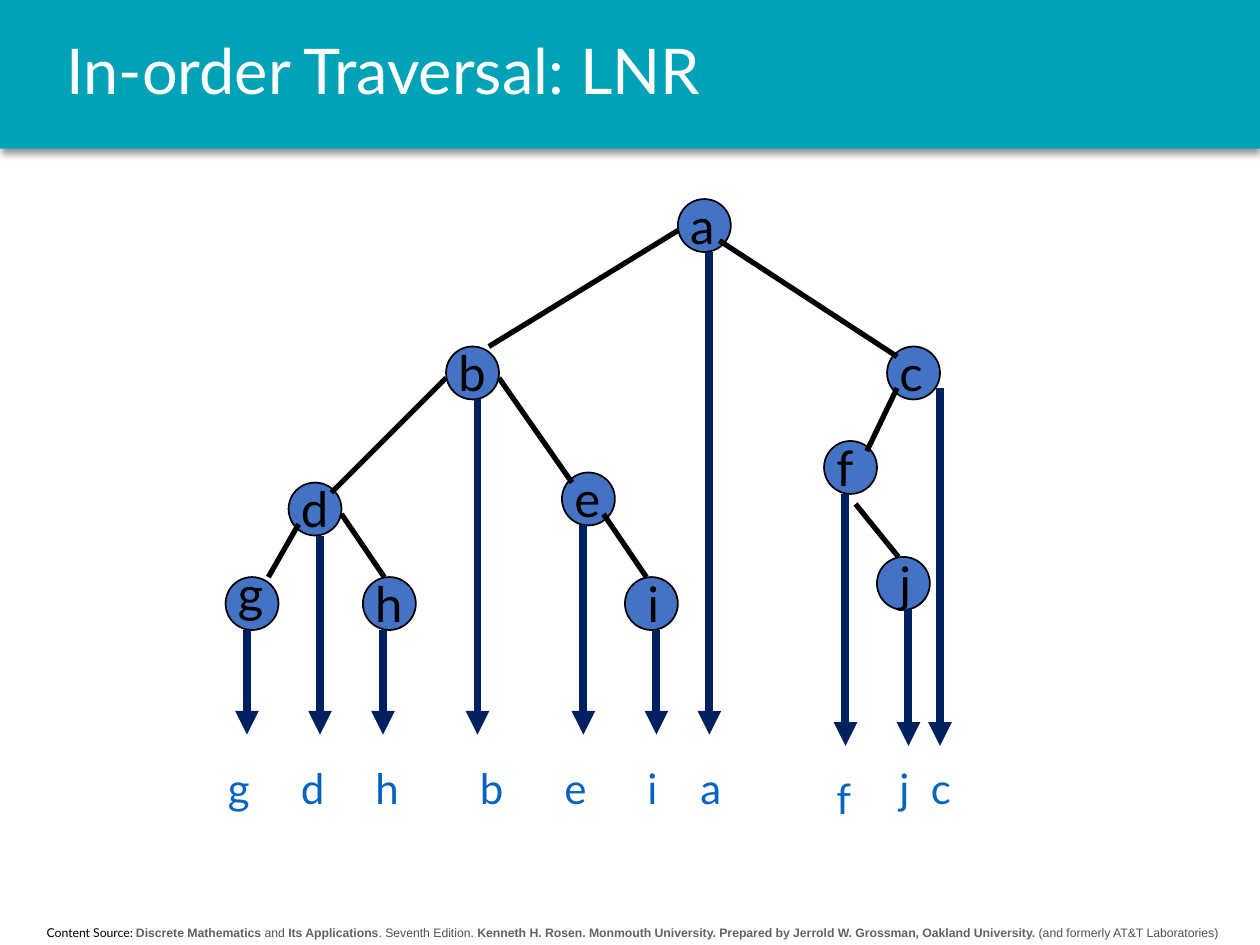
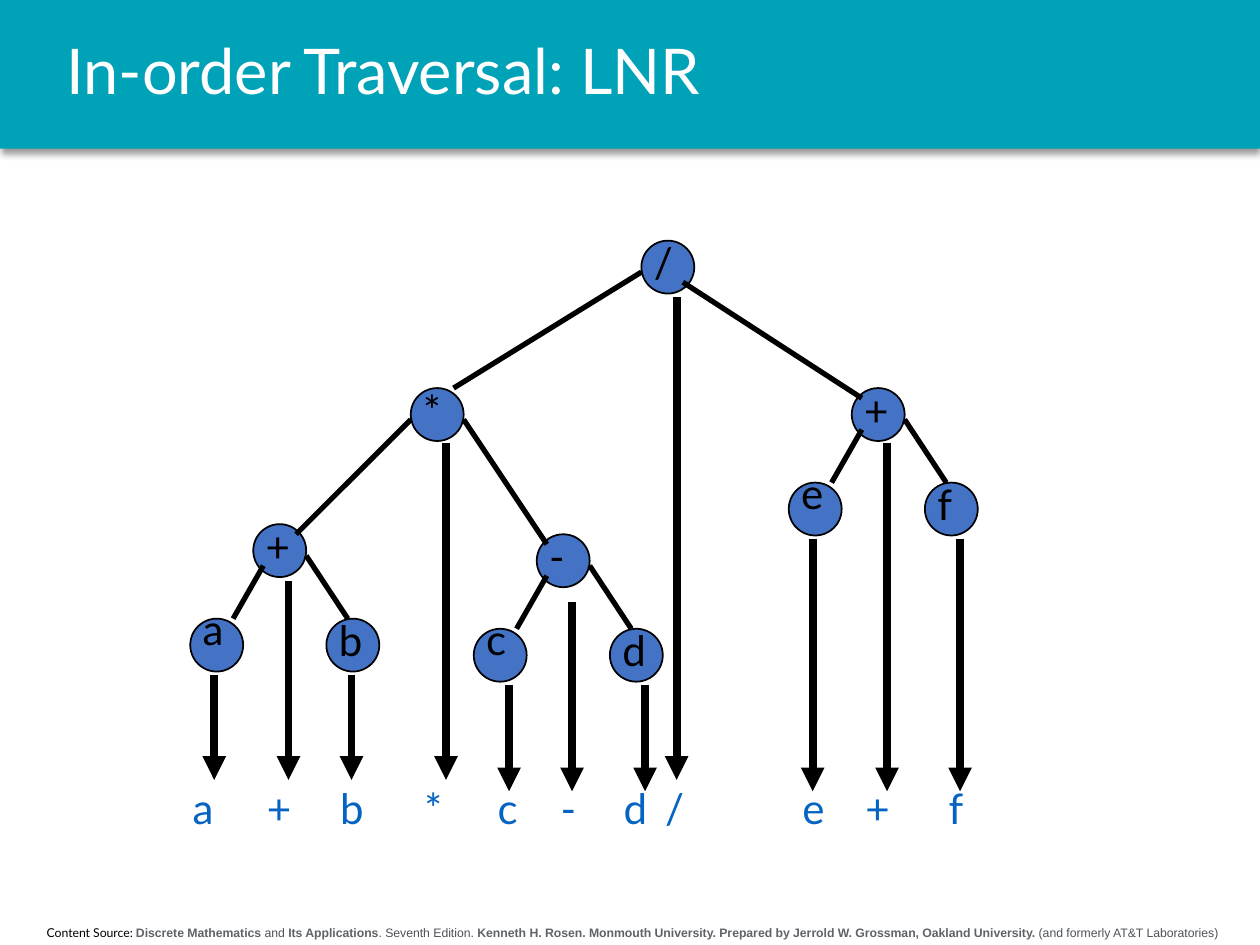
from dataclasses import dataclass

from lxml import etree
from pptx import Presentation
from pptx.dml.color import RGBColor
from pptx.enum.shapes import MSO_CONNECTOR, MSO_SHAPE
from pptx.enum.text import MSO_ANCHOR, PP_ALIGN
from pptx.oxml.ns import qn
from pptx.util import Inches, Pt

STRAIGHT = MSO_CONNECTOR.STRAIGHT
RECT, OVAL = MSO_SHAPE.RECTANGLE, MSO_SHAPE.OVAL
LEFT, CENTER = PP_ALIGN.LEFT, PP_ALIGN.CENTER
TOP, MIDDLE = MSO_ANCHOR.TOP, MSO_ANCHOR.MIDDLE

COLORS = {
    "band": "00A2B8", "node": "4472C4", "black": "000000", "white": "FFFFFF",
    "navy": "002060", "output": "0563C1", "source": "5F6368", "detail": "4D5156",
}
FONT, FOOTER_FONT = "Lato", "Arial"
NODE_SIZE = 0.42

# Footer runs: text, font, colour, bold
FOOTER = [
    ("Content Source: ", FONT, "black", False),
    ("Discrete Mathematics", FOOTER_FONT, "source", True),
    (" and ", FOOTER_FONT, "detail", False),
    ("Its Applications", FOOTER_FONT, "source", True),
    (". Seventh Edition. ", FOOTER_FONT, "detail", False),
    ("Kenneth H. Rosen. Monmouth University. Prepared by Jerrold W. Grossman, "
     "Oakland University.", FOOTER_FONT, "source", True),
    (" (and formerly AT&T Laboratories)", FOOTER_FONT, "detail", False),
]

# Points where an edge meets a node, measured from the node's top left
PORTS = {
    "left": (0, 0.25), "right": (0.42, 0.25),
    "low left": (0.08, 0.33), "low right": (0.33, 0.33), "under": (0.25, 0.5),
    "top left": (0.17, 0), "top right": (0.34, 0),
    "in left": (0.08, 0.08), "in right": (0.34, 0.08),
}


@dataclass
class Node:
    x: float
    y: float
    arrow_x: float
    arrow_top: float
    arrow_end: float
    out_x: float
    out_y: float
    letter_dx: float = 0
    letter_dy: float = -0.08


# Nodes in visiting order; the first character of a key is the letter shown
LETTER_TREE = {
    "g": Node(1.79, 4.58, 1.96, 5, 5.83, 1.71, 6, letter_dy=-0.16),
    "d": Node(2.29, 3.83, 2.54, 4.25, 5.83, 2.29, 6),
    "h": Node(2.88, 4.58, 3.04, 5, 5.83, 2.88, 6),
    "b": Node(3.54, 2.75, 3.79, 3.17, 5.83, 3.71, 6),
    "e": Node(4.46, 3.75, 4.63, 4.17, 5.83, 4.38, 6),
    "i": Node(4.96, 4.58, 5.21, 5, 5.83, 5.04, 6, letter_dx=0.08),
    "a": Node(5.38, 1.58, 5.63, 2, 5.83, 5.46, 6),
    "f": Node(6.54, 3.5, 6.71, 3.92, 5.92, 6.54, 6.08),
    "j": Node(6.96, 4.42, 7.21, 4.83, 5.92, 7.04, 6, letter_dx=0.08),
    "c": Node(7.04, 2.75, 7.46, 3.08, 5.92, 7.29, 6),
}
LETTER_EDGES = [
    ("a", "left", "b", "top right"), ("a", "low right", "c", "in left"),
    ("b", "left", "d", "in right"), ("b", "right", "e", "in left"),
    ("d", "low left", "g", "top right"), ("d", "right", "h", "top left"),
    ("e", "low right", "i", "top left"), ("c", "low left", "f", "in right"),
    ("f", "under", "j", "top left"),
]
EXPRESSION_TREE = {
    "a": Node(1.51, 4.91, 1.7, 5.36, 6.19, 1.43, 6.16, letter_dy=-0.17),
    "+ab": Node(2.01, 4.16, 2.29, 4.61, 6.19, 2.02, 6.16),
    "b": Node(2.59, 4.91, 2.79, 5.36, 6.19, 2.6, 6.16),
    "*": Node(3.26, 3.08, 3.54, 3.52, 6.19, 3.27, 6.16),
    "c": Node(3.76, 4.99, 4.04, 5.44, 6.28, 3.85, 6.16, letter_dy=-0.17),
    "-": Node(4.26, 4.24, 4.54, 4.78, 6.28, 4.35, 6.16),
    "d": Node(4.84, 4.99, 5.12, 5.44, 6.28, 4.85, 6.16),
    "/": Node(5.09, 1.91, 5.37, 2.36, 6.19, 5.18, 6.16),
    "e": Node(6.26, 3.83, 6.45, 4.28, 6.28, 6.27, 6.16, letter_dy=-0.17),
    "+ef": Node(6.76, 3.08, 7.04, 3.52, 6.28, 6.77, 6.16),
    "f": Node(7.34, 3.83, 7.62, 4.28, 6.28, 7.43, 6.16),
}
EXPRESSION_EDGES = [
    ("/", "left", "*", "top right"), ("/", "low right", "+ef", "in left"),
    ("*", "left", "+ab", "in right"), ("*", "right", "-", "in left"),
] + [
    edge
    for parent, first, second in (("+ab", "a", "b"), ("-", "c", "d"), ("+ef", "e", "f"))
    for edge in ((parent, "low left", first, "top right"),
                 (parent, "right", second, "top left"))
]


def rgb(name):
    return RGBColor.from_string(COLORS[name])


def add_run(p, text, size=24, font=FONT, color="black", bold=False):
    r = p.add_run()
    r.text = text
    r.font.size, r.font.name, r.font.bold = Pt(size), font, bold
    r.font.color.rgb = rgb(color)


class Deck:
    def __init__(self):
        self.prs = Presentation()
        self.prs.slide_width, self.prs.slide_height = Inches(10), Inches(7.5)
        self.s = None

    def shape(self, kind, x, y, w, h, fill, line=None):
        sp = self.s.shapes.add_shape(kind, Inches(x), Inches(y), Inches(w), Inches(h))
        sp.shadow.inherit = False
        sp.fill.solid()
        sp.fill.fore_color.rgb = rgb(fill)
        if line:
            sp.line.color.rgb = rgb(line)
            sp.line.width = Pt(1)
        else:
            sp.line.fill.background()
        return sp

    def box(self, x, y, w, h, anchor=TOP, align=LEFT):
        tf = self.s.shapes.add_textbox(Inches(x), Inches(y), Inches(w), Inches(h)).text_frame
        tf.word_wrap = True
        tf.vertical_anchor = anchor
        p = tf.paragraphs[0]
        p.alignment = align
        return p

    def line(self, start, end, color="black", width=3, arrow=False):
        sp = self.s.shapes.add_connector(STRAIGHT, *map(Inches, (*start, *end)))
        sp.line.color.rgb = rgb(color)
        sp.line.width = Pt(width)
        if arrow:
            etree.SubElement(sp.line._get_or_add_ln(), qn("a:tailEnd"), type="triangle")
        etree.SubElement(sp._element.spPr, qn("a:effectLst"))

    def band(self):
        sp = self.shape(RECT, 0, 0, 10, 1.18, "band")
        effects = sp._element.spPr.find(qn("a:effectLst"))
        shadow = etree.SubElement(effects, qn("a:outerShdw"), blurRad=str(Pt(4)),
                                  dist=str(Pt(3)), dir="5400000", rotWithShape="0")
        color = etree.SubElement(shadow, qn("a:srgbClr"), val=COLORS["black"])
        etree.SubElement(color, qn("a:alpha"), val="40000")

    def slide(self, title):
        self.s = self.prs.slides.add_slide(self.prs.slide_layouts[6])
        self.band()
        p = self.box(0.04, 7.29, 9.96, 0.22, align=CENTER)
        for text, font, color, bold in FOOTER:
            add_run(p, text, size=7, font=font, color=color, bold=bold)
        p = self.box(0.43, 0, 9.3, 1.18, anchor=MIDDLE)
        p.line_spacing = 0.9
        add_run(p, title, size=36, color="white")

    def tree(self, nodes, edges, letter_size, letter_box, arrow_color):
        # Circles, then edges, then letters
        for n in nodes.values():
            self.shape(OVAL, n.x, n.y, NODE_SIZE, NODE_SIZE, "node", line="black")
        for parent, out_port, child, in_port in edges:
            ends = [(nodes[key].x + PORTS[port][0], nodes[key].y + PORTS[port][1])
                    for key, port in ((parent, out_port), (child, in_port))]
            self.line(*ends)
        for key, n in nodes.items():
            p = self.box(n.x + n.letter_dx, n.y + n.letter_dy, *letter_box)
            add_run(p, key[0], size=letter_size)
        # Arrows down to the visited sequence
        for key, n in nodes.items():
            add_run(self.box(n.out_x, n.out_y, 0.42, 0.51), key[0], color="output")
            self.line((n.arrow_x, n.arrow_top), (n.arrow_x, n.arrow_end),
                      color=arrow_color, width=4.5, arrow=True)


def main():
    deck = Deck()
    title = "In-order Traversal: LNR"

    # Tree of letters
    deck.slide(title)
    deck.tree(LETTER_TREE, LETTER_EDGES, 28, (0.83, 0.57), "navy")

    # Expression tree
    deck.slide(title)
    deck.tree(EXPRESSION_TREE, EXPRESSION_EDGES, 24, (0.42, 0.51), "black")

    deck.prs.save("out.pptx")


if __name__ == "__main__":
    main()
